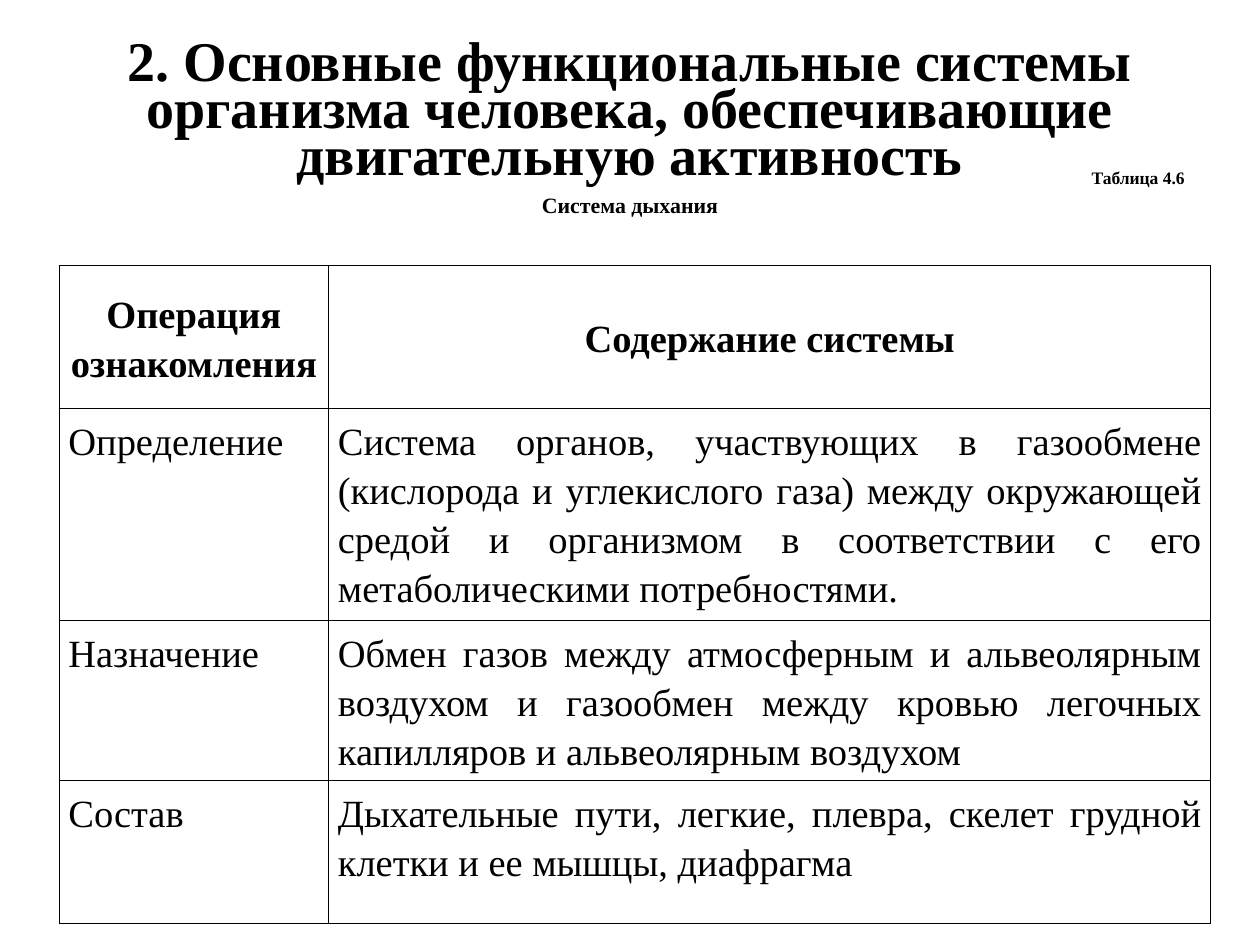
from lxml.etree import SubElement as Sub
from pptx import Presentation
from pptx.dml.color import RGBColor
from pptx.enum.text import MSO_ANCHOR as Anchor, PP_ALIGN as Align
from pptx.oxml.ns import qn
from pptx.util import Cm, Pt

FONT = "Times New Roman"
INK, PAPER = "000000", "FFFFFF"
ROWS = [
    ("Операция ознакомления", "Содержание системы"),
    ("Определение",
     "Система органов, участвующих в газообмене (кислорода и углекислого "
     "газа) между окружающей средой и организмом в соответствии с его "
     "метаболическими потребностями."),
    ("Назначение",
     "Обмен газов между атмосферным и альвеолярным воздухом и газообмен "
     "между кровью легочных капилляров и альвеолярным воздухом"),
    ("Состав",
     "Дыхательные пути, легкие, плевра, скелет грудной клетки и ее мышцы, "
     "диафрагма"),
]


def color(code):
    return RGBColor.from_string(code)


def style(para, size, align, space, bold=True):
    para.alignment = align
    para.line_spacing = space
    for run in para.runs:
        font = run.font
        font.name, font.size, font.bold = FONT, Pt(size), bold
        font.color.rgb = color(INK)


def add_text(slide, box, lines, space, gap=0, anchor=Anchor.TOP):
    """Place (text, size, align) lines in a wrapping text box."""
    frame = slide.shapes.add_textbox(*map(Cm, box)).text_frame
    frame.word_wrap = True
    frame.vertical_anchor = anchor
    frame.text = "\n".join(line[0] for line in lines)
    for num, (para, line) in enumerate(zip(frame.paragraphs, lines)):
        style(para, line[1], line[2], space)
        if num:
            para.space_before = Pt(gap)


def add_title(slide, box):
    text = ("2. Основные функциональные системы организма человека, "
            "обеспечивающие двигательную активность")
    add_text(slide, box, [(text, 32, Align.CENTER)], 0.7,
             anchor=Anchor.MIDDLE)


def add_label(slide, box):
    lines = [("Таблица 4.6", 10, Align.RIGHT),
             ("Система дыхания", 12.5, Align.CENTER)]
    add_text(slide, box, lines, 0.8, gap=5)


def add_edges(cell):
    props = cell._tc.get_or_add_tcPr()
    for side in ("a:lnL", "a:lnR", "a:lnT", "a:lnB"):
        line = Sub(props, qn(side), w=str(Pt(0.45)))
        fill = Sub(line, qn("a:solidFill"))
        Sub(fill, qn("a:srgbClr"), val=INK)


def fill_cell(cell, text, head):
    add_edges(cell)
    cell.fill.solid()
    cell.fill.fore_color.rgb = color(PAPER)
    cell.margin_left = cell.margin_right = Cm(0.19)
    cell.margin_top = cell.margin_bottom = Cm(0.13)
    cell.vertical_anchor = Anchor.MIDDLE if head else Anchor.TOP
    cell.text_frame.text = text
    align = Align.CENTER if head else Align.JUSTIFY
    # A fixed line pitch keeps the rows at their set heights
    style(cell.text_frame.paragraphs[0], 22, align, Pt(28), bold=head)


def add_grid(slide, box):
    wide, high = box[2:]
    shape = slide.shapes.add_table(len(ROWS), 2, *map(Cm, box))
    table = shape.table
    table.horz_banding = False
    # Shares of the box taken by each column and row
    for col, part in zip(table.columns, (0.234, 0.766)):
        col.width = Cm(wide * part)
    for row, part in zip(table.rows, (0.217, 0.323, 0.243, 0.217)):
        row.height = Cm(high * part)
    for r, texts in enumerate(ROWS):
        for c, text in enumerate(texts):
            fill_cell(table.cell(r, c), text, head=r == 0)


def set_fonts(deck):
    """Make the text font the default of the deck and its master."""
    for root in (deck.element, deck.slide_master.element):
        for latin in root.iter(qn("a:latin")):
            latin.set("typeface", FONT)


def main():
    deck = Presentation()
    deck.slide_width, deck.slide_height = Cm(25.4), Cm(19.05)
    set_fonts(deck)
    slide = deck.slides.add_slide(deck.slide_layouts[6])
    add_title(slide, (1.27, 0.71, 22.86, 3.18))
    add_label(slide, (1.27, 3.33, 22.86, 1.4))
    add_grid(slide, (1.19, 5.35, 23.22, 13.26))
    deck.save("out.pptx")


if __name__ == "__main__":
    main()
